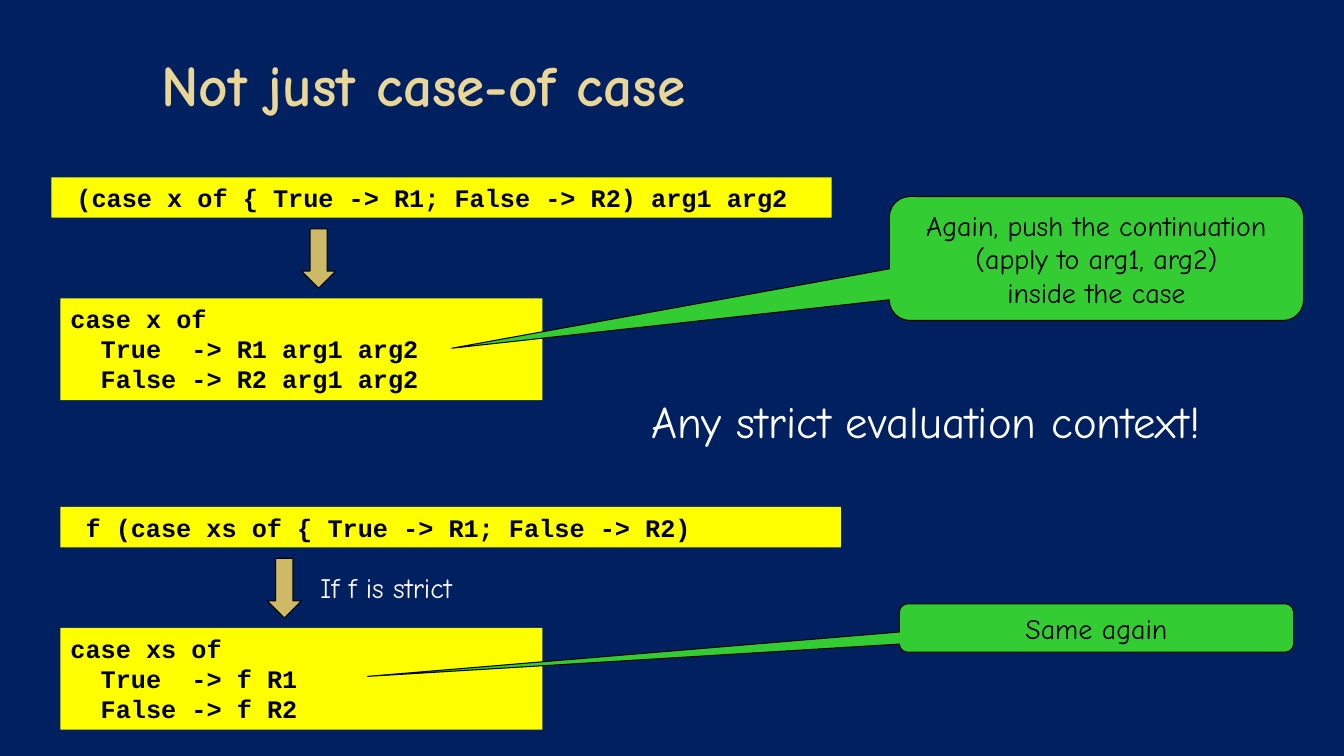
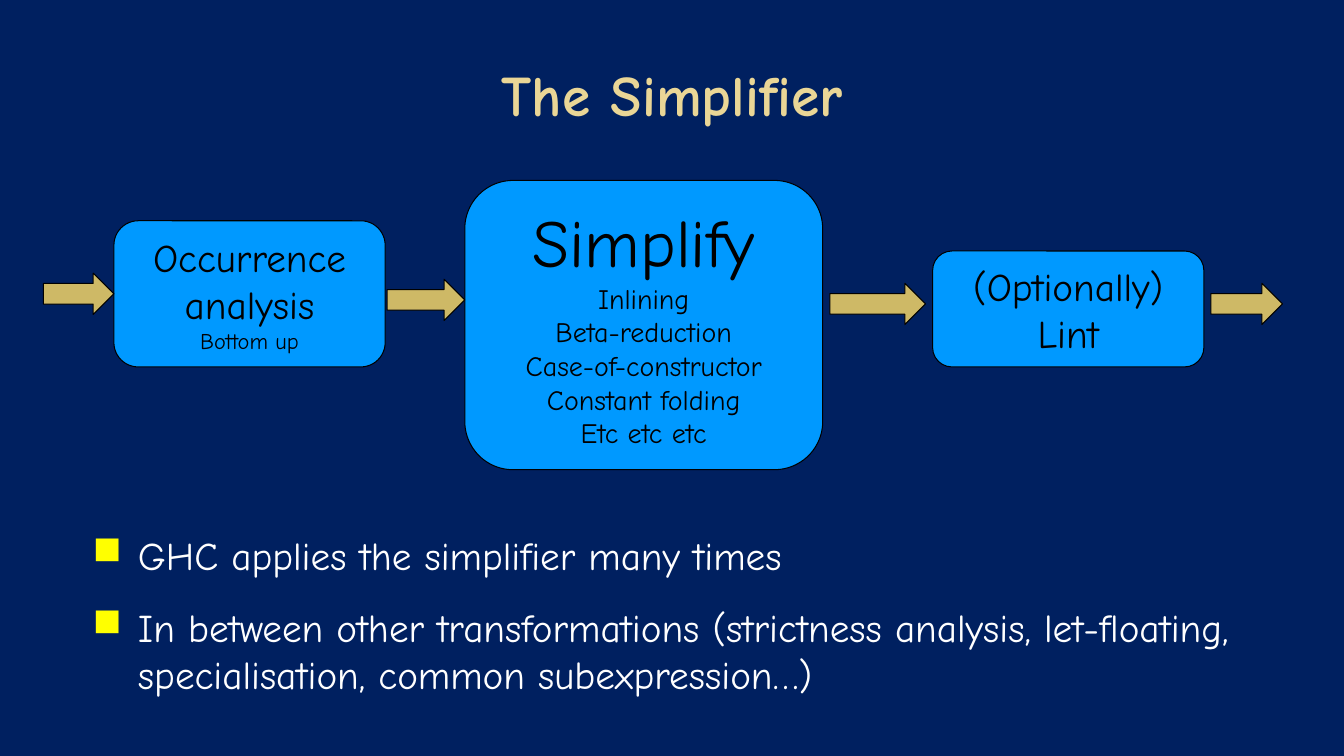
from dataclasses import dataclass

import lxml.etree
import pptx
import pptx.dml.color
import pptx.enum.shapes
import pptx.enum.text
import pptx.oxml.ns
import pptx.util

SCALE = 9144  # EMU in one px, 100 px to the inch
COLORS = {
    "navy": "002060",
    "title": "EAD696",
    "code": "FFFF00",
    "callout": "33CC33",
    "arrow": "CEB966",
    "stage": "0099FF",
    "black": "000000",
    "white": "FFFFFF",
}
HAND = "Comic Neue"
MONO = "Courier New"

Shape = pptx.enum.shapes.MSO_SHAPE
Align = pptx.enum.text.PP_ALIGN
Anchor = pptx.enum.text.MSO_ANCHOR


@dataclass(frozen=True)
class Area:
    left: int
    top: int
    width: int
    height: int

    def emu(self) -> list[pptx.util.Emu]:
        return [px(n) for n in (self.left, self.top, self.width, self.height)]


@dataclass(frozen=True)
class Line:
    text: str
    size: int


@dataclass(frozen=True)
class Style:
    font: str = HAND
    color: str = "black"
    bold: bool = False
    align: Align = Align.LEFT
    anchor: Anchor = Anchor.TOP


@dataclass(frozen=True)
class Code:
    area: Area
    text: str


@dataclass(frozen=True)
class Callout:
    area: Area
    text: str
    tip: tuple[float, float]


@dataclass(frozen=True)
class Stage:
    area: Area
    lines: list[Line]


CODE = Style(font=MONO, bold=True)
LABEL = Style(color="white")
CENTERED = Style(align=Align.CENTER, anchor=Anchor.MIDDLE)

CODES = [
    Code(Area(51, 176, 774, 40), " (case x of { True -> R1; False -> R2) arg1 arg2"),
    Code(Area(60, 296, 478, 101),
         "case x of\n  True  -> R1 arg1 arg2\n  False -> R2 arg1 arg2"),
    Code(Area(60, 503, 774, 40), " f (case xs of { True -> R1; False -> R2)"),
    Code(Area(60, 623, 478, 101),
         "case xs of\n  True  -> f R1\n  False -> f R2"),
]
CALLOUTS = [
    Callout(Area(882, 195, 411, 123),
            "Again, push the continuation\v(apply to arg1, arg2)\vinside the case",
            (-1.556, 0.724)),
    Callout(Area(892, 599, 391, 48), "Same again", (-1.849, 1.0)),
]
DOWN_ARROWS = [Area(299, 227, 34, 59), Area(265, 554, 34, 59)]

STEPS = ["Inlining", "Beta-reduction", "Case-of-constructor",
         "Constant folding", "Etc etc etc"]
STAGES = [
    Stage(Area(113, 219, 269, 145),
          [Line("Occurrence analysis", 28), Line("Bottom up", 16)]),
    Stage(Area(461, 179, 355, 287),
          [Line("Simplify", 48), *(Line(step, 20) for step in STEPS)]),
    Stage(Area(925, 249, 269, 115),
          [Line("(Optionally)", 28), Line("Lint", 28)]),
]
RIGHT_ARROWS = [Area(43, 271, 70, 41), Area(384, 277, 77, 41),
                Area(823, 281, 95, 41), Area(1201, 281, 71, 41)]
BULLETS = [
    "GHC applies the simplifier many times",
    "In between other transformations (strictness analysis, let-floating, "
    "specialisation, common subexpression…)",
]


def px(length: int) -> pptx.util.Emu:
    return pptx.util.Emu(length * SCALE)


def rgb(name: str) -> pptx.dml.color.RGBColor:
    return pptx.dml.color.RGBColor.from_string(COLORS[name])


def write(box, lines: list[Line], style: Style) -> None:
    """Fill a shape with one paragraph a line."""
    frame = box.text_frame
    frame.word_wrap = True
    frame.vertical_anchor = style.anchor
    frame.text = "\n".join(line.text for line in lines)
    for para, line in zip(frame.paragraphs, lines):
        para.alignment = style.align
        for span in para.runs:
            span.font.name = style.font
            span.font.size = pptx.util.Pt(line.size)
            span.font.bold = style.bold
            span.font.color.rgb = rgb(style.color)


def add_text(page, area: Area, lines: list[Line], style: Style):
    box = page.shapes.add_textbox(*area.emu())
    write(box, lines, style)
    return box


def add_title(page, area: Area, text: str, align: Align) -> None:
    style = Style(color="title", bold=True, align=align, anchor=Anchor.MIDDLE)
    add_text(page, area, [Line(text, 41)], style)


def add_block(page, kind: Shape, area: Area, fill: str, outlined: bool = True):
    block = page.shapes.add_shape(kind, *area.emu())
    block.shadow.inherit = False
    block.fill.solid()
    block.fill.fore_color.rgb = rgb(fill)
    if outlined:
        block.line.color.rgb = rgb("black")
        block.line.width = pptx.util.Pt(0.75)
    else:
        block.line.fill.background()
    return block


def add_arrows(page, kind: Shape, areas: list[Area]) -> None:
    for area in areas:
        add_block(page, kind, area, "arrow")


def add_bullet(para) -> None:
    """Give a paragraph a hanging square bullet."""
    props = para._p.get_or_add_pPr()
    props.set("marL", str(px(60)))
    props.set("indent", str(px(-45)))
    qn = pptx.oxml.ns.qn
    color = lxml.etree.SubElement(props, qn("a:buClr"))
    lxml.etree.SubElement(color, qn("a:srgbClr"), val=COLORS["code"])
    lxml.etree.SubElement(props, qn("a:buChar"), char="■")


def build_case_page(page) -> None:
    add_title(page, Area(51, 33, 639, 100), "Not just case-of case", Align.RIGHT)
    for code in CODES:
        block = add_block(page, Shape.RECTANGLE, code.area, "code", outlined=False)
        write(block, [Line(text, 18) for text in code.text.split("\n")], CODE)
    add_arrows(page, Shape.DOWN_ARROW, DOWN_ARROWS)
    for callout in CALLOUTS:
        block = add_block(page, Shape.ROUNDED_RECTANGULAR_CALLOUT,
                          callout.area, "callout")
        block.adjustments[0], block.adjustments[1] = callout.tip
        write(block, [Line(callout.text, 20)], CENTERED)
    add_text(page, Area(636, 386, 645, 64),
             [Line("Any strict evaluation context!", 32)], LABEL)
    add_text(page, Area(308, 561, 186, 44), [Line("If f is strict", 20)], LABEL)


def build_simplifier_page(page) -> None:
    add_title(page, Area(67, 30, 1200, 125), "The Simplifier", Align.CENTER)
    body = add_text(page, Area(67, 522, 1200, 168),
                    [Line(text, 28) for text in BULLETS], LABEL)
    for index, para in enumerate(body.text_frame.paragraphs):
        if index:
            para.space_before = pptx.util.Pt(18)
        add_bullet(para)
    for stage in STAGES:
        block = add_block(page, Shape.ROUNDED_RECTANGLE, stage.area, "stage")
        write(block, stage.lines, CENTERED)
    add_arrows(page, Shape.RIGHT_ARROW, RIGHT_ARROWS)


def main() -> None:
    deck = pptx.Presentation()
    deck.slide_width, deck.slide_height = px(1333), px(750)
    backdrop = deck.slide_master.background.fill
    backdrop.solid()
    backdrop.fore_color.rgb = rgb("navy")
    for build in (build_case_page, build_simplifier_page):
        build(deck.slides.add_slide(deck.slide_layouts[6]))
    deck.save("out.pptx")


if __name__ == "__main__":
    main()
